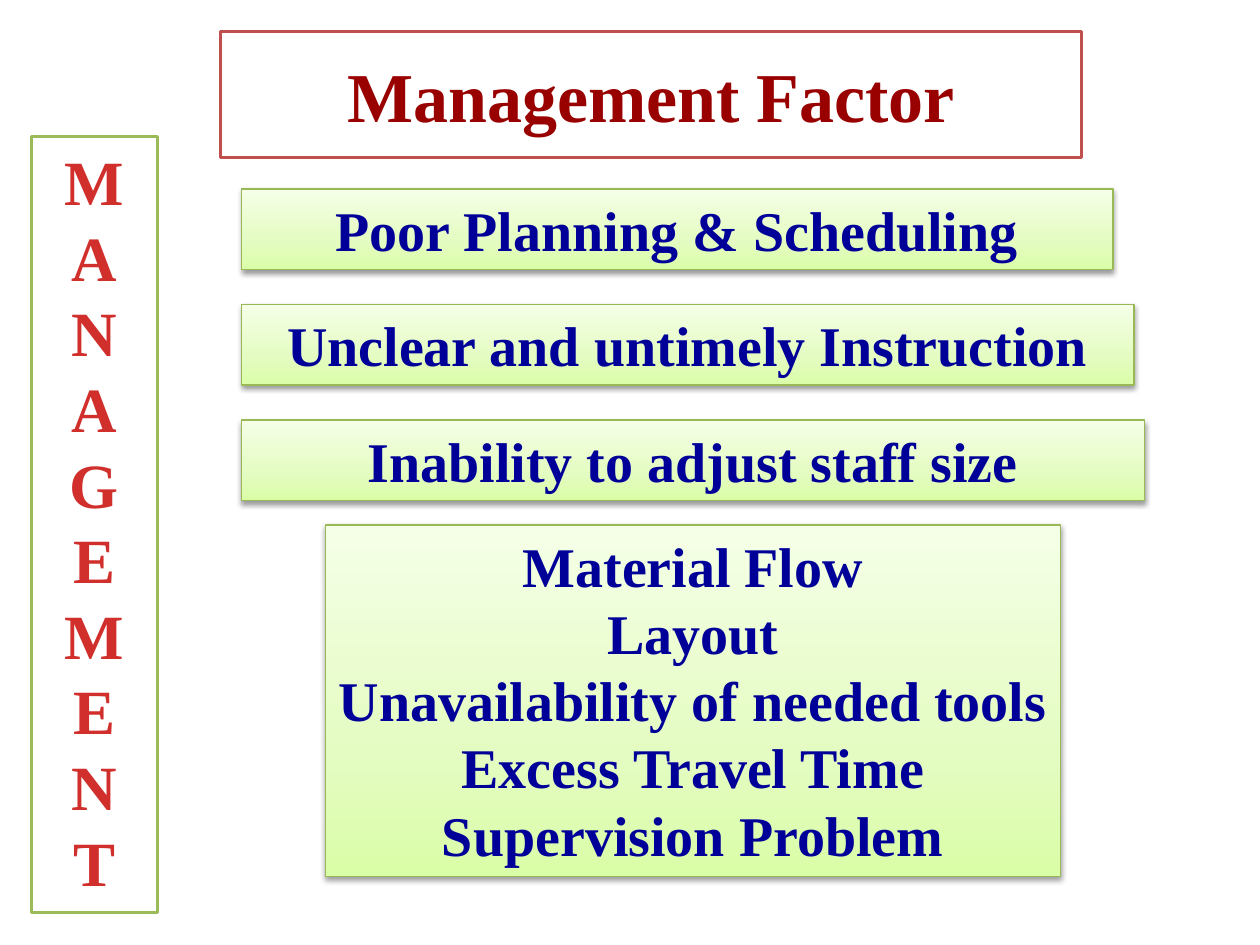
"""Build the Management Factor slide."""
from dataclasses import dataclass
from typing import Any

from pptx import Presentation
from pptx.dml.color import RGBColor as Rgb
from pptx.enum.shapes import MSO_SHAPE as Preset
from pptx.enum.text import MSO_ANCHOR as Anchor, MSO_AUTO_SIZE as AutoSize, PP_ALIGN as Align
from pptx.oxml import parse_xml
from pptx.oxml.ns import nsdecls, qn
from pptx.util import Pt


@dataclass(frozen=True)
class TextStyle:
    """Size and colour of a text."""
    size: float
    color: str


@dataclass(frozen=True)
class Theme:
    """Colours and type sizes of the slide."""
    font: str = "Times New Roman"
    paper: str = "FFFFFF"
    title_line: str = "C0504D"
    column_line: str = "9BBB59"
    panel_line: str = "98B955"
    panel_stops: tuple = ((0, "DAFDA7"), (35, "E4FCC2"), (100, "F5FFE7"))
    title: TextStyle = TextStyle(40, "990000")
    column: TextStyle = TextStyle(36, "D02F2C")
    panel: TextStyle = TextStyle(32, "000099")


@dataclass(frozen=True)
class Box:
    """Place of a shape in points."""
    left: float
    top: float
    width: float
    height: float


@dataclass(frozen=True)
class Panel:
    """Green panel and its lines of text."""
    box: Box
    lines: tuple[str, ...]


THEME = Theme()
TITLE_BOX = Box(126, 18, 492, 72)
COLUMN_BOX = Box(18, 78, 72, 443.5)
ROW_LEFT, ROW_TOP, ROW_STEP, ROW_HEIGHT = 138, 108, 66, 46
ROWS = (
    ("Poor Planning & Scheduling", 498),
    ("Unclear and untimely Instruction", 510),
    ("Inability to adjust staff size", 516),
)
PANELS = [
    Panel(Box(ROW_LEFT, ROW_TOP + index * ROW_STEP, width, ROW_HEIGHT), (text,))
    for index, (text, width) in enumerate(ROWS)
] + [
    Panel(Box(186, 300, 420, 201), (
        "Material Flow",
        "Layout",
        "Unavailability of needed tools",
        "Excess Travel Time",
        "Supervision Problem",
    ))
]


def apply(target: Any, formats: dict[str, Any]) -> None:
    """Set every attribute named in the formats."""
    for name, value in formats.items():
        setattr(target, name, value)


def write(shape: Any, lines: tuple[str, ...], style: TextStyle, anchor: Any, auto_size: Any) -> None:
    """Write centred bold lines into a shape."""
    frame = shape.text_frame
    apply(frame, {"text": "\n".join(lines), "word_wrap": True,
                  "vertical_anchor": anchor, "auto_size": auto_size})
    for paragraph in frame.paragraphs:
        paragraph.alignment = Align.CENTER
        font = paragraph.runs[0].font
        apply(font, {"name": THEME.font, "size": Pt(style.size), "bold": True})
        font.color.rgb = Rgb.from_string(style.color)


def outline(shape: Any, color: str, width: float) -> None:
    """Give a shape a solid outline."""
    shape.line.color.rgb = Rgb.from_string(color)
    shape.line.width = Pt(width)


def fill_plain(shape: Any) -> None:
    """Fill a shape with the paper colour."""
    shape.fill.solid()
    shape.fill.fore_color.rgb = Rgb.from_string(THEME.paper)


def add_box(slide: Any, box: Box) -> Any:
    """Add a rectangle without a theme shadow."""
    shape = slide.shapes.add_shape(
        Preset.RECTANGLE, Pt(box.left), Pt(box.top), Pt(box.width), Pt(box.height))
    shape.shadow.inherit = False
    return shape


def add_title(slide: Any, text: str) -> None:
    """Format the title placeholder as a rounded frame."""
    title = slide.shapes.title
    apply(title, {name: Pt(getattr(TITLE_BOX, name)) for name in ("left", "top", "width", "height")})
    title.element.spPr.find(qn("a:xfrm")).addnext(
        parse_xml(f'<a:prstGeom {nsdecls("a")} prst="roundRect"><a:avLst/></a:prstGeom>'))
    fill_plain(title)
    outline(title, THEME.title_line, 2)
    write(title, (text,), THEME.title, Anchor.MIDDLE, AutoSize.NONE)


def add_column(slide: Any, word: str) -> None:
    """Add the column that spells a word downwards."""
    shape = add_box(slide, COLUMN_BOX)
    fill_plain(shape)
    outline(shape, THEME.column_line, 2)
    write(shape, tuple(word), THEME.column, Anchor.TOP, AutoSize.SHAPE_TO_FIT_TEXT)


def add_panel(slide: Any, panel: Panel) -> None:
    """Add a green gradient panel with a soft shadow."""
    shape = add_box(slide, panel.box)
    outline(shape, THEME.panel_line, 0.75)
    stops = "".join(
        f'<a:gs pos="{position * 1000}"><a:srgbClr val="{color}"/></a:gs>'
        for position, color in THEME.panel_stops)
    properties = shape.element.spPr
    properties.find(qn("a:prstGeom")).addnext(parse_xml(
        f'<a:gradFill {nsdecls("a")} rotWithShape="1"><a:gsLst>{stops}</a:gsLst>'
        '<a:lin ang="16200000" scaled="1"/></a:gradFill>'))
    properties.find(qn("a:effectLst")).append(parse_xml(
        f'<a:outerShdw {nsdecls("a")} blurRad="{Pt(3.1)}" dist="{Pt(1.6)}" dir="5400000" '
        'rotWithShape="0"><a:srgbClr val="000000"><a:alpha val="38000"/></a:srgbClr></a:outerShdw>'))
    write(shape, panel.lines, THEME.panel, Anchor.TOP, AutoSize.SHAPE_TO_FIT_TEXT)


def main() -> None:
    """Build and save the presentation."""
    presentation = Presentation()
    apply(presentation, {"slide_width": Pt(720), "slide_height": Pt(540)})
    slide = presentation.slides.add_slide(presentation.slide_layouts.get_by_name("Title Only"))
    add_title(slide, "Management Factor")
    add_column(slide, "MANAGEMENT")
    for panel in PANELS:
        add_panel(slide, panel)
    presentation.save("out.pptx")


if __name__ == "__main__":
    main()
